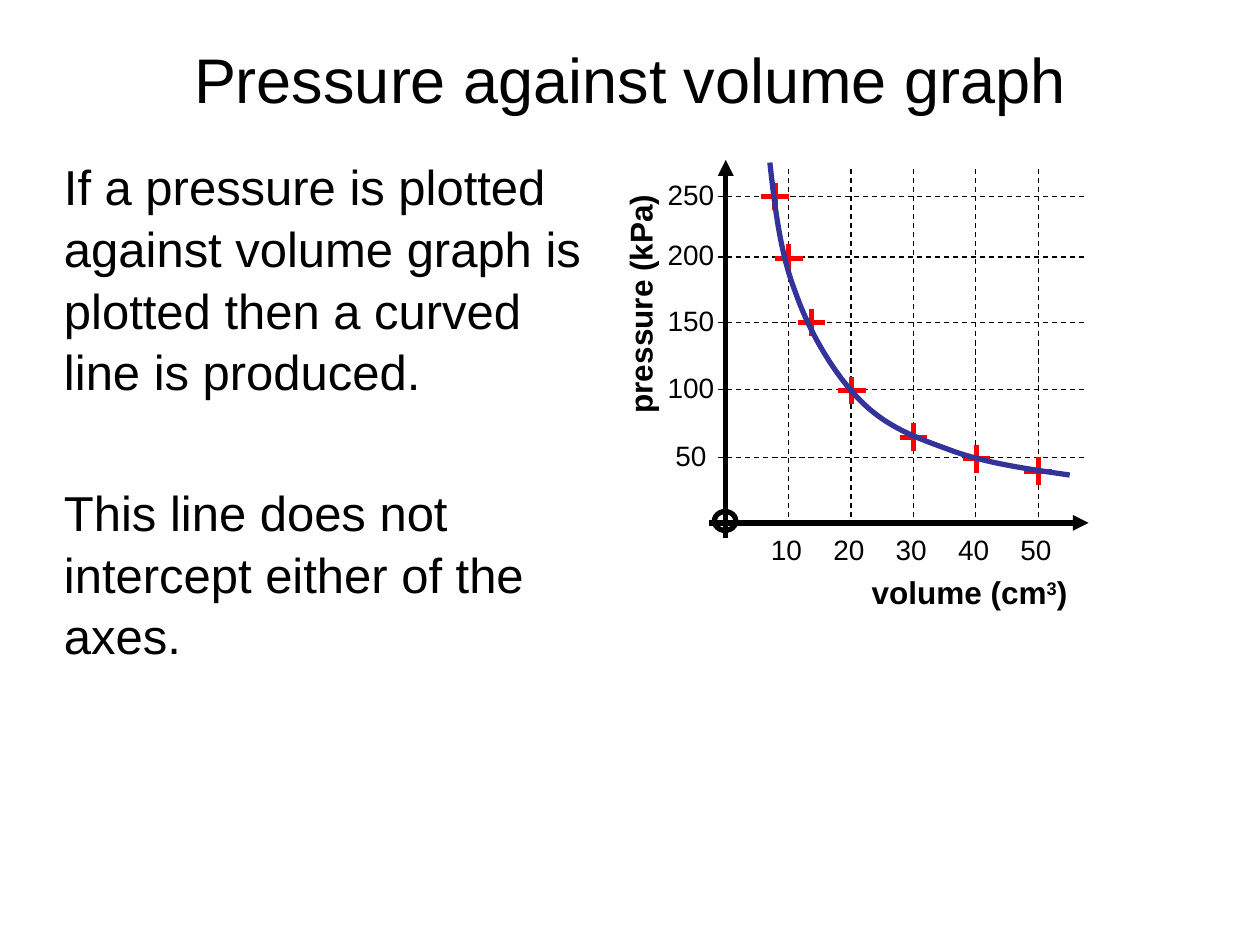
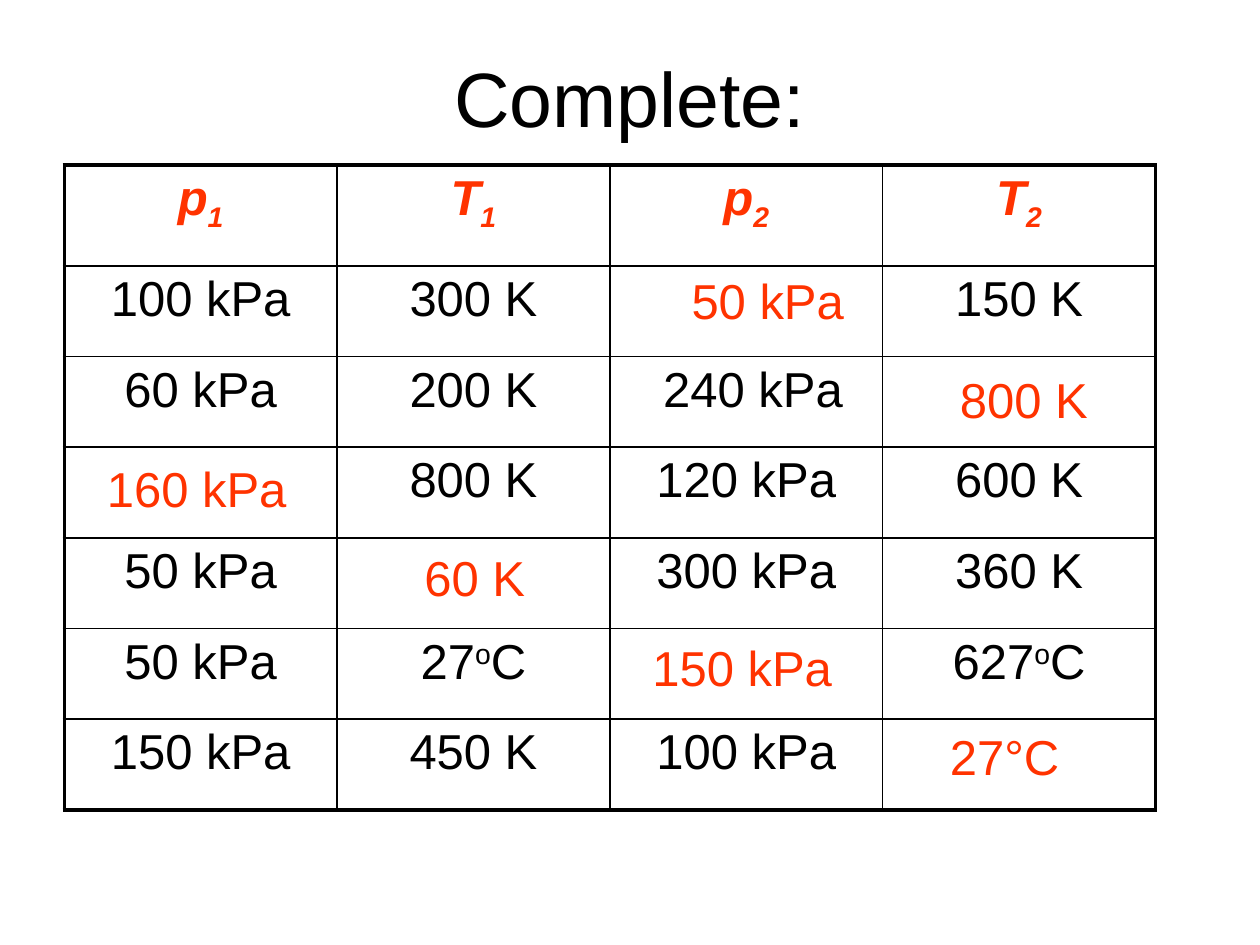
"""Build two gas-law slides: a pressure-volume graph and a table to complete."""
from lxml import etree
from pptx import Presentation
from pptx.dml.color import RGBColor
from pptx.enum.dml import MSO_LINE
from pptx.enum.shapes import MSO_CONNECTOR, MSO_SHAPE
from pptx.enum.text import MSO_ANCHOR, PP_ALIGN
from pptx.oxml.ns import qn
from pptx.util import Inches, Pt

STRAIGHT, OVAL, DASH = MSO_CONNECTOR.STRAIGHT, MSO_SHAPE.OVAL, MSO_LINE.DASH
LEFT, CENTER, MIDDLE = PP_ALIGN.LEFT, PP_ALIGN.CENTER, MSO_ANCHOR.MIDDLE
FONT, BLACK, RED, ORANGE, BLUE = "Arial", "000000", "FF0000", "FF3300", "333399"

BODY = ["If a pressure is plotted against volume graph is plotted then a curved line is produced.",
        "This line does not intercept either of the axes."]
VOLUMES = ["10", "20", "30", "40", "50"]
PRESSURES = [(" 50", 3.63), ("100", 3.09), ("150", 2.56), ("200", 2.04), ("250", 1.56)]
AXES = [((5.76, 4.27), (5.76, 1.27)), ((5.63, 4.15), (8.64, 4.15))]
NAMES = [("pressure (kPa)", (4.11, 2.21, 1.94, 0.4), 270),
         ("volume (cm|3|)", (6.82, 4.5, 1.87, 0.4), 0)]
POINTS = [(6.26, 2.05), (6.44, 2.56), (6.76, 3.1), (6.15, 1.56),
          (7.75, 3.64), (7.25, 3.47), (8.24, 3.74)]
CURVE = [(6.11, 1.29), (6.15, 1.64), (6.19, 2), (6.31, 2.31), (6.42, 2.63),
         (6.61, 2.95), (6.81, 3.16), (7.01, 3.37), (7.23, 3.46), (7.51, 3.56),
         (7.79, 3.67), (8.14, 3.72), (8.49, 3.77)]
ROWS = [["p|1", "T|1", "p|2", "T|2"],
        ["100 kPa", "300 K", "", "150 K"],
        ["60 kPa", "200 K", " 240 kPa", ""],
        ["", "800 K", "120 kPa", "600 K"],
        ["50 kPa", "", "300 kPa", "360 K"],
        ["50 kPa", "27|o|C", "", "627|o|C"],
        ["150 kPa", "450 K", "100 kPa", ""]]
ANSWERS = [("50 kPa", 5.39, 2.1, 1.5), ("800 K", 7.52, 2.88, 1.42),
           ("160 kPa", 0.75, 3.59, 1.81), ("60 K", 3.27, 4.3, 1.02),
           ("150 kPa", 5.08, 5.01, 1.97), ("27°C", 7.44, 5.72, 1.46)]


def rgb(code):
    return RGBColor.from_string(code)


def write(para, text, size, color=BLACK, bold=False, italic=False, align=LEFT, shift=30):
    for i, part in enumerate(text.split("|")):
        run = para.add_run()
        run.text = part
        if i % 2:
            run._r.get_or_add_rPr().set("baseline", str(shift * 1000))
    para.alignment = align
    font = para.font
    font.name, font.size, font.bold, font.italic = FONT, Pt(size), bold, italic
    font.color.rgb = rgb(color)


def box(slide, area, texts, size, color=BLACK, bold=False):
    shape = slide.shapes.add_textbox(*map(Inches, area))
    frame = shape.text_frame
    frame.word_wrap = True
    for i, text in enumerate(texts):
        para = frame.add_paragraph() if i else frame.paragraphs[0]
        write(para, text, size, color, bold)
    return shape


def stroke(shape, color, width):
    shape.line.color.rgb = rgb(color)
    shape.line.width = Pt(width)


def rule(slide, start, end, color=BLACK, width=3, dash=None, arrow=False):
    line = slide.shapes.add_connector(STRAIGHT, *map(Inches, (*start, *end)))
    stroke(line, color, width)
    if dash:
        line.line.dash_style = dash
    if arrow:
        etree.SubElement(line.line._get_or_add_ln(), qn("a:tailEnd"), type="triangle")
    etree.SubElement(line._element.spPr, qn("a:effectLst"))


def curve(slide, points):
    spots = [(Inches(x), Inches(y)) for x, y in points]
    pen = slide.shapes.build_freeform(*spots[0])
    pen.add_line_segments(spots[1:], close=False)
    shape = pen.convert_to_shape()
    shape.shadow.inherit = False
    shape.fill.background()
    stroke(shape, BLUE, 3)
    steps = list(shape._element.iter(qn("a:lnTo")))
    track = steps[0].getparent()
    for i in range(0, len(steps), 3):
        bend = etree.SubElement(track, qn("a:cubicBezTo"))
        for step in steps[i:i + 3]:
            bend.append(step[0])
            track.remove(step)


def border(cell, sides):
    props = cell._tc.get_or_add_tcPr()
    for i, (side, width) in enumerate(sides.items()):
        line = etree.Element(qn("a:ln" + side), w=str(Pt(width)))
        fill = etree.SubElement(line, qn("a:solidFill"))
        etree.SubElement(fill, qn("a:srgbClr"), val=BLACK)
        props.insert(i, line)


def start(deck, text, area, size):
    slide = deck.slides.add_slide(deck.slide_layouts[5])
    title = slide.shapes.title
    title.left, title.top, title.width, title.height = map(Inches, area)
    title.text_frame.vertical_anchor = MIDDLE
    write(title.text_frame.paragraphs[0], text, size, align=CENTER)
    return slide


def graph(deck):
    slide = start(deck, "Pressure against volume graph", (0.5, 0.3, 9, 0.65), 36)
    body = box(slide, (0.41, 1.17, 4.44, 5.23), BODY, 28)
    for para in body.text_frame.paragraphs:
        para.line_spacing = 1.05
    para.space_before = Pt(45)
    for tail, head in AXES:
        rule(slide, tail, head, arrow=True)
    ring = slide.shapes.add_shape(OVAL, *map(Inches, (5.67, 4.06, 0.17, 0.15)))
    ring.shadow.inherit = False
    ring.fill.background()
    stroke(ring, BLACK, 3)
    for text, area, turn in NAMES:
        box(slide, area, [text], 18, bold=True).rotation = turn
    for text, y in PRESSURES:
        rule(slide, (5.7, y), (8.63, y), width=0.75, dash=DASH)
        box(slide, (5.2, y - 0.2, 0.76, 0.37), [text], 16)
    for i, text in enumerate(VOLUMES):
        x = 6.26 + 0.495 * i
        rule(slide, (x, 1.34), (x, 4.2), width=0.75, dash=DASH)
        box(slide, (x - 0.24, 4.18, 0.51, 0.37), [text], 16)
    arm = 0.11
    for x, y in POINTS:
        rule(slide, (x, y - arm), (x, y + arm), RED)
        rule(slide, (x - arm, y), (x + arm, y), RED)
    curve(slide, CURVE)


def quiz(deck):
    slide = start(deck, "Complete:", (0.5, 0.3, 9, 0.93), 44)
    rows, cols = len(ROWS), len(ROWS[0])
    area = map(Inches, (0.51, 1.31, 8.66, 5.12))
    table = slide.shapes.add_table(rows, cols, *area).table
    table.first_row = table.horz_banding = False
    for col in table.columns:
        col.width = Inches(8.66 / cols)
    for r, texts in enumerate(ROWS):
        head = r == 0
        table.rows[r].height = Inches(0.8 if head else 0.72)
        for c, text in enumerate(texts):
            cell = table.cell(r, c)
            cell.fill.background()
            edges = {"L": c == 0, "R": c == cols - 1, "T": head, "B": r == rows - 1}
            border(cell, {side: 2.25 if outer else 1 for side, outer in edges.items()})
            if text:
                write(cell.text_frame.paragraphs[0], text, 28, ORANGE if head else BLACK,
                      head, head, CENTER, -25 if head else 30)
    for text, x, y, width in ANSWERS:
        box(slide, (x, y, width, 0.57), [text], 28, ORANGE)


deck = Presentation()
deck.slide_width, deck.slide_height = Inches(10), Inches(7.5)
graph(deck)
quiz(deck)
deck.save("out.pptx")
